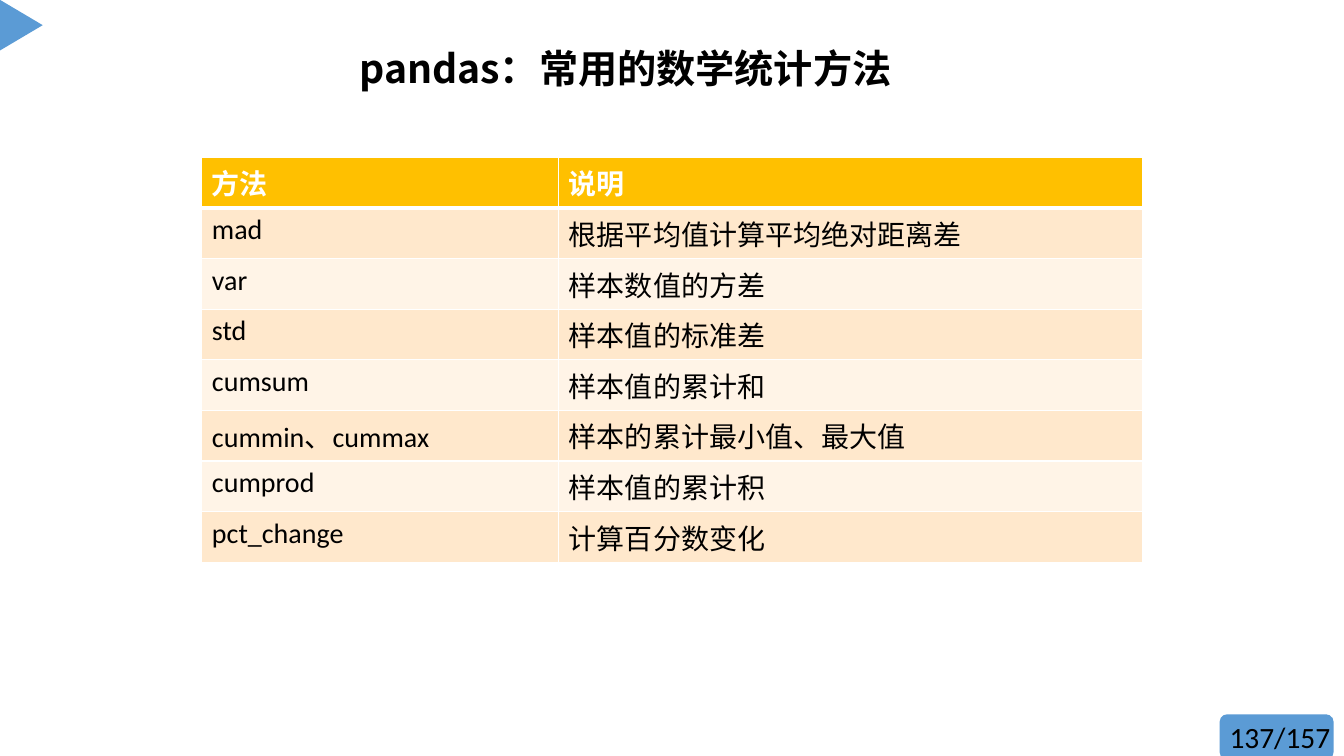
from dataclasses import dataclass

from lxml import etree
from pptx import Presentation
from pptx import util as u
from pptx.dml.color import RGBColor
from pptx.enum import shapes, text
from pptx.oxml.ns import qn

CJK = "Noto Sans CJK SC"
LATIN = "Calibri"
BLUE, BLACK, WHITE = "5B9BD5", "000000", "FFFFFF"
HEADER_FILL = "FFC000"
BAND_FILLS = ("FFE8CC", "FFF4E7")
ROW_HEIGHT = 36.15


@dataclass
class Badge:
    kind: shapes.MSO_SHAPE
    left: float
    top: float
    width: float
    height: float
    rotation: float = 0


@dataclass
class Method:
    name: str
    meaning: str


BADGES = [
    Badge(shapes.MSO_SHAPE.FLOWCHART_ALTERNATE_PROCESS, 871.2, 510.2, 81.4, 32.4),
    Badge(shapes.MSO_SHAPE.ISOSCELES_TRIANGLE, -2.7, 2.8, 36, 30.4, 90),
]
HEADER = Method("方法", "说明")
METHODS = [
    Method("mad", "根据平均值计算平均绝对距离差"),
    Method("var", "样本数值的方差"),
    Method("std", "样本值的标准差"),
    Method("cumsum", "样本值的累计和"),
    Method("cummin、cummax", "样本的累计最小值、最大值"),
    Method("cumprod", "样本值的累计积"),
    Method("pct_change", "计算百分数变化"),
]


def rgb(value: str) -> RGBColor:
    return RGBColor.from_string(value)


def add_run(p, words: str, size: float, color: str, bold: bool = False, font: str = LATIN) -> None:
    r = p.add_run()
    r.text = words
    r.font.size = u.Pt(size)
    r.font.bold = bold
    r.font.name = font
    r.font.color.rgb = rgb(color)
    etree.SubElement(r.font._element, qn("a:ea"), typeface=CJK)


def add_badge(slide, badge: Badge) -> None:
    sp = slide.shapes.add_shape(
        badge.kind, u.Pt(badge.left), u.Pt(badge.top), u.Pt(badge.width), u.Pt(badge.height)
    )
    sp.rotation = badge.rotation
    sp.shadow.inherit = False
    sp.fill.solid()
    sp.fill.fore_color.rgb = rgb(BLUE)
    sp.line.fill.background()


def add_page_number(slide, words: str) -> None:
    sp = slide.shapes.add_textbox(u.Pt(871.2), u.Pt(510.2), u.Pt(88), u.Pt(32.4))
    tf = sp.text_frame
    tf.word_wrap = True
    tf.margin_right = 0
    add_run(tf.paragraphs[0], words, 21, BLACK)


def set_title(slide, words: str) -> None:
    sp = slide.shapes.title
    sp.left, sp.top, sp.width, sp.height = u.Pt(122.7), u.Pt(20.9), u.Pt(648), u.Pt(59)
    tf = sp.text_frame
    tf.auto_size = text.MSO_AUTO_SIZE.NONE
    tf.vertical_anchor = text.MSO_ANCHOR.MIDDLE
    p = tf.paragraphs[0]
    p.alignment = text.PP_ALIGN.CENTER
    p.line_spacing = 0.9
    add_run(p, words, 28, BLACK, True, CJK)


def add_borders(cell, top: float, bottom: float) -> None:
    tc_pr = cell._tc.get_or_add_tcPr()
    for side, width in (("L", 1), ("R", 1), ("T", top), ("B", bottom)):
        ln = etree.SubElement(tc_pr, qn(f"a:ln{side}"), w=str(u.Pt(width)))
        fill = etree.SubElement(ln, qn("a:solidFill"))
        etree.SubElement(fill, qn("a:srgbClr"), val=WHITE)


def add_method_table(slide) -> None:
    rows = [HEADER, *METHODS]
    table = slide.shapes.add_table(
        len(rows), 2, u.Pt(144.2), u.Pt(112.4), u.Pt(672), u.Pt(ROW_HEIGHT * len(rows))
    ).table
    for column, width in zip(table.columns, (255, 417)):
        column.width = u.Pt(width)
    for i, method in enumerate(rows):
        is_header = i == 0
        fill = HEADER_FILL if is_header else BAND_FILLS[(i - 1) % 2]
        for j, words in enumerate((method.name, method.meaning)):
            cell = table.cell(i, j)
            add_borders(cell, 3 if i == 1 else 1, 3 if is_header else 1)
            cell.fill.solid()
            cell.fill.fore_color.rgb = rgb(fill)
            p = cell.text_frame.paragraphs[0]
            add_run(p, words, 20, WHITE if is_header else BLACK, is_header)


def main() -> None:
    prs = Presentation()
    prs.slide_width, prs.slide_height = u.Pt(960), u.Pt(540)
    slide = prs.slides.add_slide(prs.slide_layouts[5])
    for badge in BADGES:
        add_badge(slide, badge)
    add_page_number(slide, "137/157")
    set_title(slide, "pandas：常用的数学统计方法")
    add_method_table(slide)
    prs.save("out.pptx")


if __name__ == "__main__":
    main()
